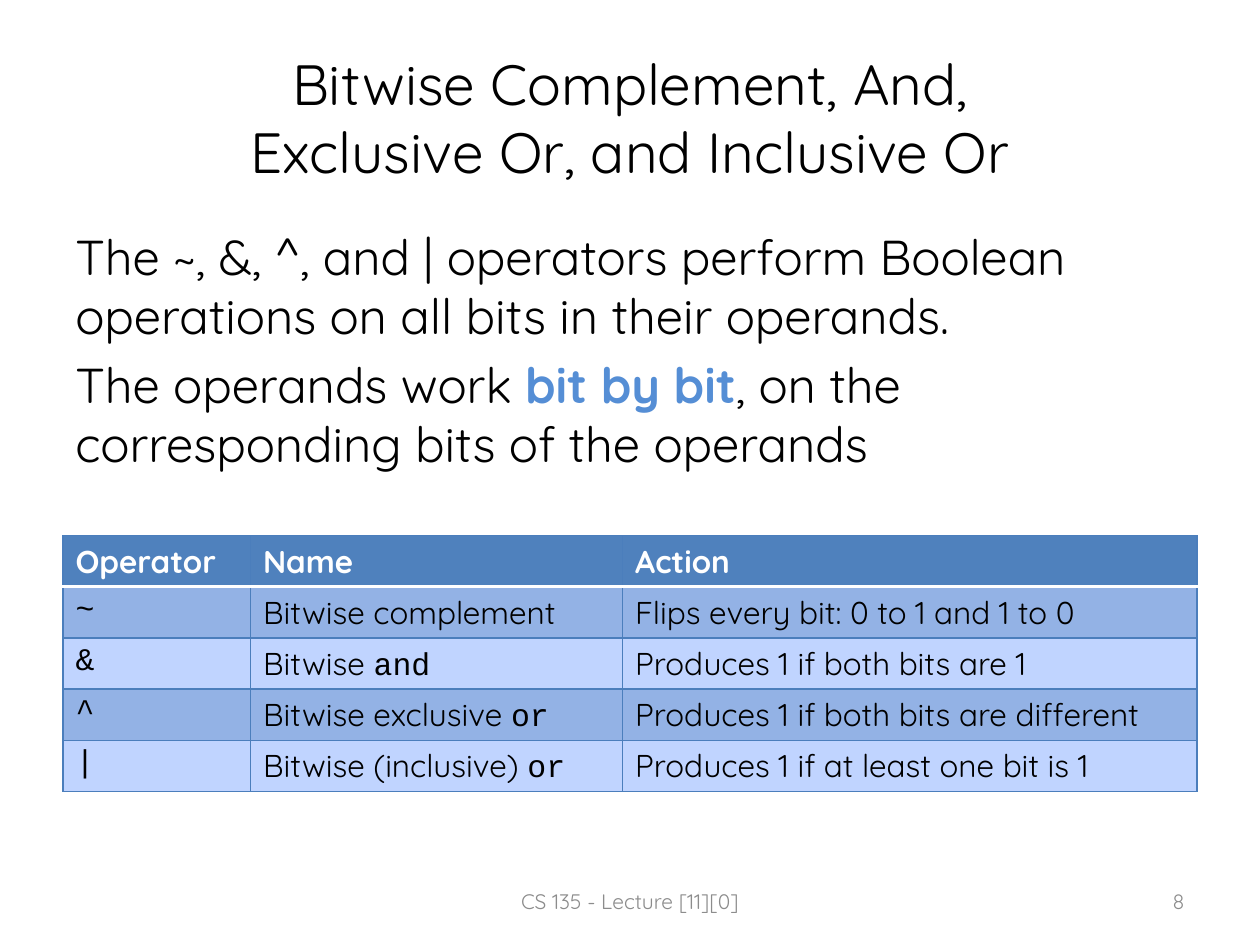
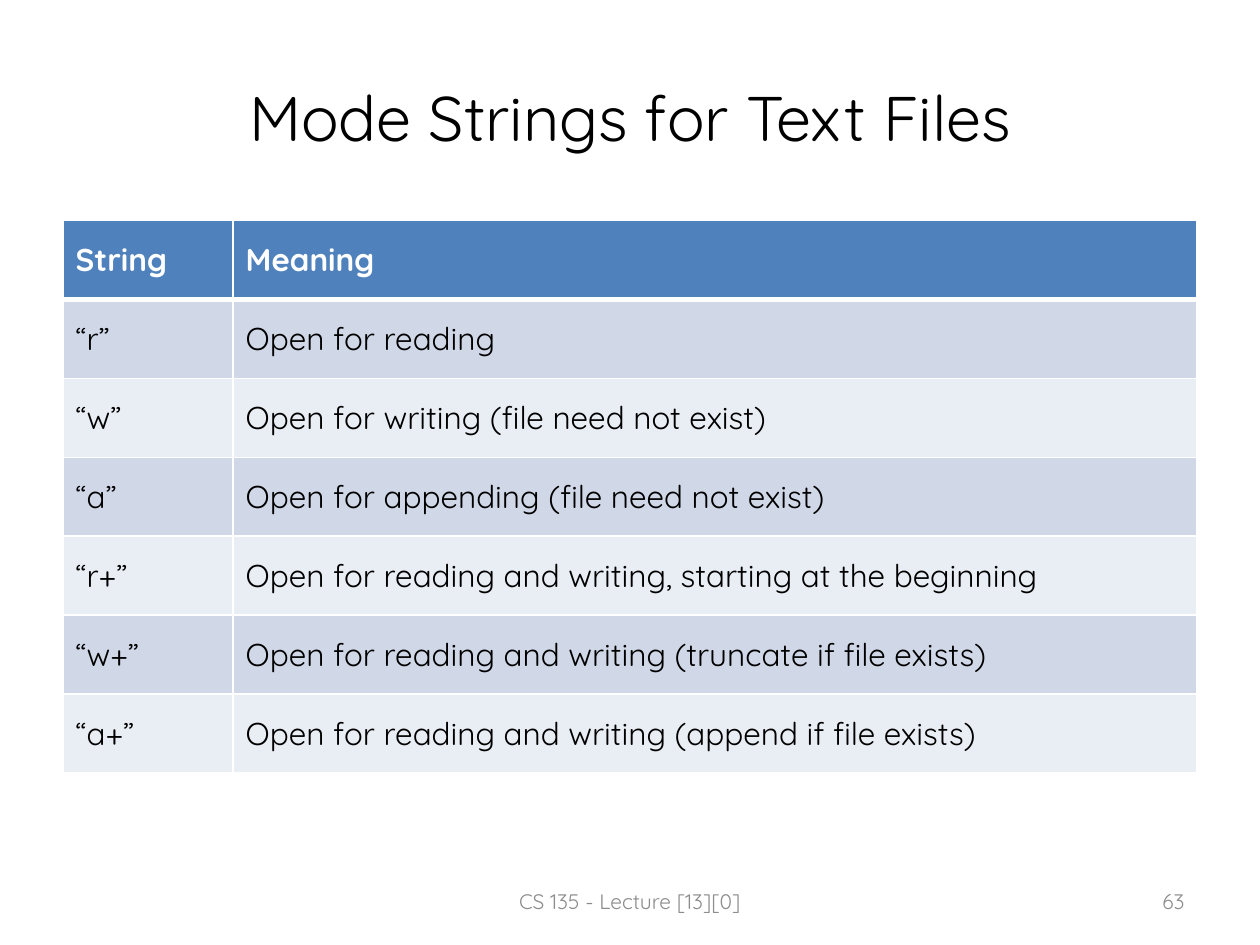
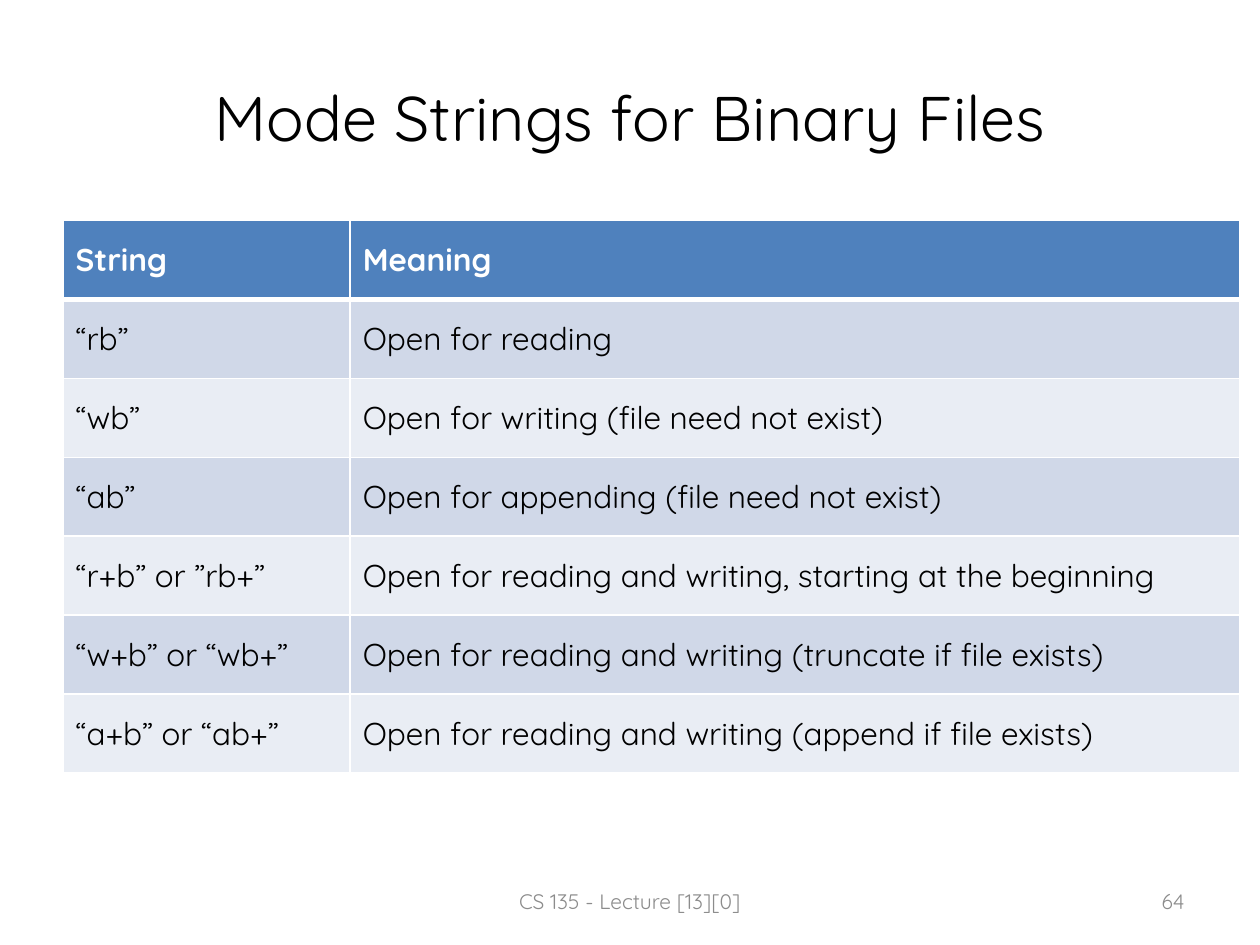
from lxml.etree import SubElement as Sub
from pptx import Presentation
from pptx.dml.color import RGBColor as Rgb
from pptx.enum.text import MSO_ANCHOR as Anchor, PP_ALIGN as Align
from pptx.oxml.ns import qn
from pptx.util import Cm, Pt

BLACK = Rgb(0x00, 0x00, 0x00)
WHITE = Rgb(0xFF, 0xFF, 0xFF)
GREY = Rgb(0x8C, 0x8C, 0x8C)
ACCENT = Rgb(0x55, 0x8E, 0xD5)
HEAD = Rgb(0x4F, 0x81, 0xBD)
EDGE = Rgb(0x4B, 0x7E, 0xBC)
DEEP = (Rgb(0x93, 0xB2, 0xE5), Rgb(0xC0, 0xD4, 0xFF))
PALE = (Rgb(0xD0, 0xD8, 0xE8), Rgb(0xE9, 0xED, 0xF4))
SANS = "Quicksand"
MONO = "Courier New"
LEFT = 1.27
WIDE = 22.86


def write(frame, *lines, size=18, tone=BLACK, bold=False, align=Align.LEFT,
          anchor=Anchor.TOP, before=0):
    frame.word_wrap = True
    frame.vertical_anchor = anchor
    for i, line in enumerate(lines):
        para = frame.add_paragraph() if i else frame.paragraphs[0]
        para.alignment = align
        para.space_before = Pt(before)
        for part in [line] if isinstance(line, str) else line:
            text, look = (part, {}) if isinstance(part, str) else part
            for j, piece in enumerate(text.split("\n")):
                if j:
                    para.add_line_break()
                run = para.add_run()
                run.text = piece
                font = run.font
                font.name = look.get("font", SANS)
                font.size = Pt(size)
                font.bold = look.get("bold", bold)
                font.color.rgb = look.get("tone", tone)


def code(text):
    return text, {"font": MONO}


def border(cell, **sides):
    props = cell._tc.get_or_add_tcPr()
    for side in "LRTB":
        tone, width = sides[side]
        line = Sub(props, qn("a:ln" + side), w=str(Pt(width)))
        Sub(Sub(line, qn("a:solidFill")), qn("a:srgbClr"), val=str(tone))


class Deck:
    def __init__(self):
        self.show = Presentation()
        self.show.slide_width = Cm(25.4)
        self.show.slide_height = Cm(19.05)

    def page(self, title, lecture, number, size=36):
        self.slide = self.show.slides.add_slide(self.show.slide_layouts[6])
        self.text(LEFT, 0.76, WIDE, 3.18, title, size=size,
                  align=Align.CENTER, anchor=Anchor.MIDDLE)
        foot = dict(size=12, tone=GREY, anchor=Anchor.MIDDLE)
        self.text(8.68, 17.65, 8.04, 1.02, f"CS 135 - Lecture [{lecture}][0]",
                  align=Align.CENTER, **foot)
        self.text(18.2, 17.65, 5.93, 1.02, str(number),
                  align=Align.RIGHT, **foot)

    def text(self, x, y, w, h, *lines, **look):
        box = self.slide.shapes.add_textbox(Cm(x), Cm(y), Cm(w), Cm(h))
        write(box.text_frame, *lines, **look)

    def table(self, y, widths, height, rows, bands, edge, rule,
              anchor=Anchor.MIDDLE):
        grid = self.slide.shapes.add_table(
            len(rows), len(widths), Cm(LEFT), Cm(y),
            Cm(sum(widths)), Cm(height * len(rows))).table
        for col, width in zip(grid.columns, widths):
            col.width = Cm(width)
        for r, row in enumerate(rows):
            grid.rows[r].height = Cm(height)
            for c, words in enumerate(row):
                cell = grid.cell(r, c)
                border(cell, L=edge, R=edge, T=rule if r == 1 else edge,
                       B=edge if r else rule)
                cell.fill.solid()
                cell.fill.fore_color.rgb = bands[(r - 1) % 2] if r else HEAD
                write(cell.text_frame, words, bold=r == 0,
                      tone=BLACK if r else WHITE)
                cell.vertical_anchor = anchor

    def modes(self, kind, number, widths, names):
        self.page(f"Mode Strings for {kind} Files", 13, number)
        rows = [("String", "Meaning"), *zip(names, MEANING)]
        self.table(4.45, widths, 1.59, rows, PALE, (WHITE, 1), (WHITE, 3))


MEANING = (
    "Open for reading",
    "Open for writing (file need not exist)",
    "Open for appending (file need not exist)",
    "Open for reading and writing, starting at the beginning",
    "Open for reading and writing (truncate if file exists)",
    "Open for reading and writing (append if file exists)",
)

deck = Deck()

deck.page("Bitwise Complement, And,\nExclusive Or, and Inclusive Or",
          11, 8, size=32.4)
deck.text(
    LEFT, 4.45, WIDE, 12.57,
    "The ~, &, ^, and | operators perform Boolean operations on all bits "
    "in their operands.",
    ["The operands work ", ("bit by bit", {"tone": ACCENT, "bold": True}),
     ", on the corresponding bits of the operands"],
    size=28, before=5.6)
deck.table(10.8, (3.78, 7.5, 11.58), 1.03, [
    ("Operator", "Name", "Action"),
    ([code("~")], "Bitwise complement", "Flips every bit: 0 to 1 and 1 to 0"),
    ([code("&")], ["Bitwise ", code("and")], "Produces 1 if both bits are 1"),
    ([code("^")], ["Bitwise exclusive ", code("or")],
     "Produces 1 if both bits are different"),
    ([code("|")], ["Bitwise (inclusive) ", code("or")],
     "Produces 1 if at least one bit is 1"),
], DEEP, (EDGE, 0.75), (WHITE, 2), anchor=Anchor.TOP)

deck.modes("Text", 63, (3.43, 19.43),
           ("“r”", "“w”", "“a”", "“r+”", "“w+”", "“a+”"))
deck.modes("Binary", 64, (5.79, 17.93),
           ("“rb”", "“wb”", "“ab”", "“r+b” or ”rb+”",
            "“w+b” or “wb+”", "“a+b” or “ab+”"))

deck.show.save("out.pptx")
